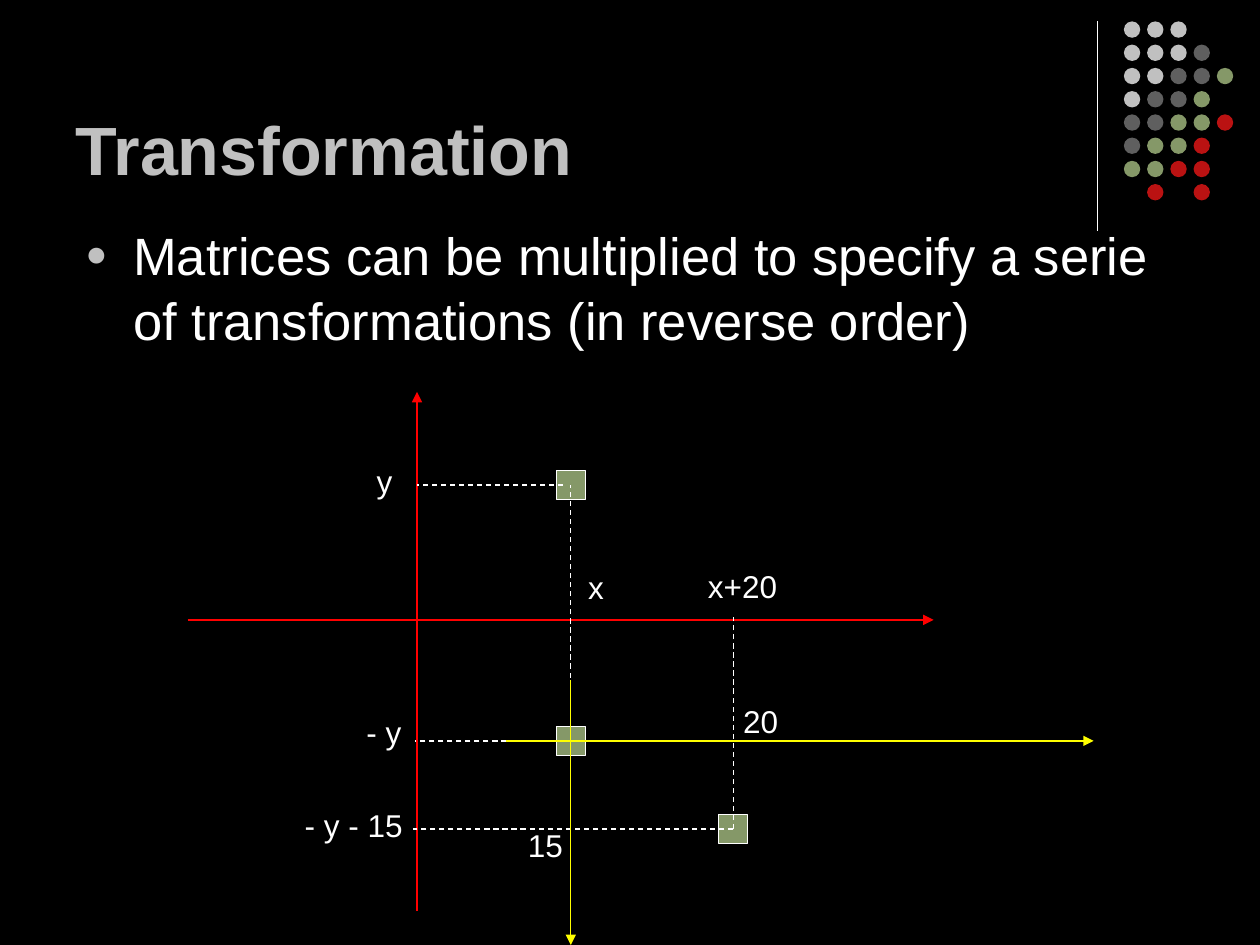
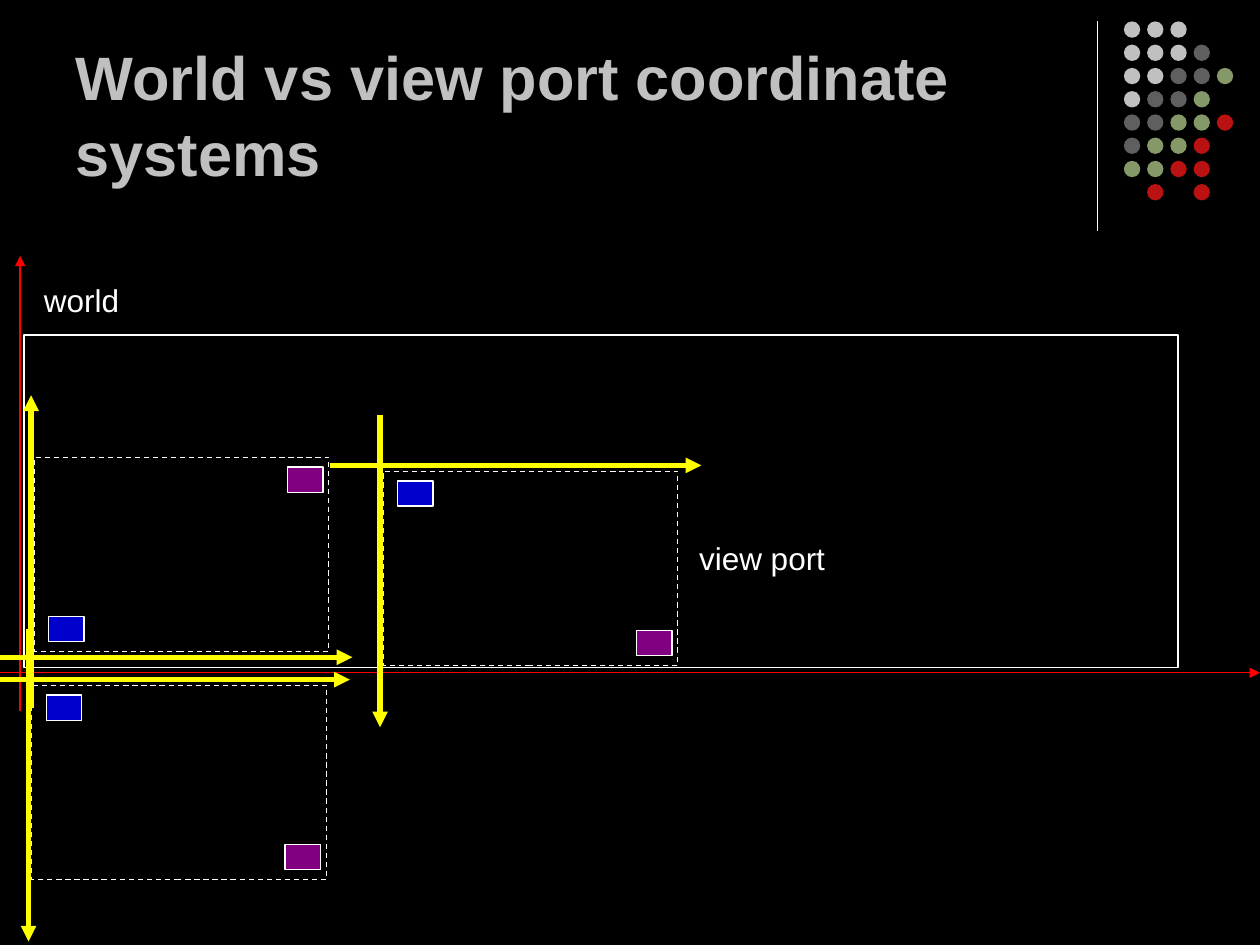
from dataclasses import dataclass

from lxml import etree
from pptx import Presentation
from pptx.dml.color import RGBColor
from pptx.enum.dml import MSO_LINE
from pptx.enum.shapes import MSO_CONNECTOR, MSO_SHAPE
from pptx.enum.text import MSO_ANCHOR, MSO_AUTO_SIZE, PP_ALIGN
from pptx.oxml.ns import qn
from pptx.util import Inches, Pt

RECTANGLE, OVAL = MSO_SHAPE.RECTANGLE, MSO_SHAPE.OVAL
STRAIGHT, DASH = MSO_CONNECTOR.STRAIGHT, MSO_LINE.DASH
LEFT, TOP, BOTTOM = PP_ALIGN.LEFT, MSO_ANCHOR.TOP, MSO_ANCHOR.BOTTOM
NO_AUTOFIT = MSO_AUTO_SIZE.NONE
TITLE_ONLY = 5

SLIDE_W, SLIDE_H = 10, 7.5
FONT = "Arial"
COLORS = {
    "background": "000000",
    "text": "FFFFFF",
    "silver": "C0C0C0",
    "gray": "5F5F5F",
    "olive": "859868",
    "crimson": "BA1212",
    "world": "FF0000",
    "view": "FFFF00",
    "blue": "0000CC",
    "purple": "800080",
}
DOT_COLORS = {"S": "silver", "G": "gray", "O": "olive", "C": "crimson"}
DOT_ROWS = ["SSS", "SSSG", "SSGGO", "SGGO", "GGOOC", "GOOC", "OOCC", " C C"]


@dataclass
class Box:
    left: float
    top: float
    width: float
    height: float

    def x(self, share):
        return self.left + share * self.width

    def y(self, share):
        return self.top + share * self.height

    def inset(self, left, top, width, height):
        return Box(self.x(left), self.y(top),
                   width * self.width, height * self.height)

    def inches(self):
        return [Inches(v) for v in
                (self.left, self.top, self.width, self.height)]


SLIDE = Box(0, 0, SLIDE_W, SLIDE_H)
TITLE = Box(0.5, 0.13, 8.25, 1.42)


def color(name):
    return RGBColor.from_string(COLORS[name])


def set_line(line, name, width=0.75, dash=None):
    line.color.rgb = color(name)
    line.width = Pt(width)
    if dash:
        line.dash_style = dash


def add_figure(shapes, box, fill=None, outline=None, dash=None,
               kind=RECTANGLE):
    figure = shapes.add_shape(kind, *box.inches())
    figure.shadow.inherit = False
    if fill:
        figure.fill.solid()
        figure.fill.fore_color.rgb = color(fill)
    else:
        figure.fill.background()
    if outline:
        set_line(figure.line, outline, dash=dash)
    else:
        figure.line.fill.background()


def add_line(shapes, start, end, name, width=0.75, dash=None, arrow=False):
    ends = [Inches(v) for v in (*start, *end)]
    connector = shapes.add_connector(STRAIGHT, *ends)
    set_line(connector.line, name, width, dash)
    if arrow:
        etree.SubElement(connector.get_or_add_ln(), qn("a:tailEnd"),
                         type="triangle")
    etree.SubElement(connector.element.spPr, qn("a:effectLst"))


def write(frame, words, size, name="text", bold=False, anchor=TOP,
          before=0, spacing=1.0):
    settings = {
        "word_wrap": True, "auto_size": NO_AUTOFIT, "vertical_anchor": anchor,
        "margin_left": Inches(0.1), "margin_right": Inches(0.1),
        "margin_top": Inches(0.05), "margin_bottom": Inches(0.05),
    }
    for key, value in settings.items():
        setattr(frame, key, value)
    paragraph = frame.paragraphs[0]
    layout = {"alignment": LEFT, "space_before": Pt(before),
              "line_spacing": spacing}
    for key, value in layout.items():
        setattr(paragraph, key, value)
    run = paragraph.add_run()
    run.text = words
    for key, value in {"name": FONT, "size": Pt(size), "bold": bold}.items():
        setattr(run.font, key, value)
    run.font.color.rgb = color(name)
    return paragraph


def add_label(slide, words, left, top, width):
    label = slide.shapes.add_textbox(*Box(left, top, width, 0.4).inches())
    write(label.text_frame, words, 18, before=11.2)


def add_ornament(slide, box):
    """Vertical rule with a grid of dots to its right."""
    add_line(slide.shapes, (box.left, box.top),
             (box.left, box.y(1)), "text")
    dots = slide.shapes.add_group_shape().shapes
    pitch, size = box.height / 9, 0.13
    for row, keys in enumerate(DOT_ROWS):
        for column, key in enumerate(keys):
            if key in DOT_COLORS:
                dot = Box(box.left + 0.21 + column * pitch,
                          box.top + row * pitch, size, size)
                add_figure(dots, dot, DOT_COLORS[key], kind=OVAL)


def start_slide(prs, words, size):
    slide = prs.slides.add_slide(prs.slide_layouts[TITLE_ONLY])
    add_ornament(slide, Box(8.71, 0.17, 1.07, 1.66))
    title = slide.shapes.title
    title.left, title.top, title.width, title.height = TITLE.inches()
    write(title.text_frame, words, size, "silver", bold=True,
          anchor=BOTTOM, spacing=1.04)
    return slide


def add_bullet(slide, box, words):
    body = slide.shapes.add_textbox(*box.inches())
    paragraph = write(body.text_frame, words, 30, before=7.5, spacing=1.04)
    props = paragraph._p.get_or_add_pPr()
    props.set("marL", str(Inches(0.38)))
    props.set("indent", str(-Inches(0.38)))
    bullet_color = etree.SubElement(props, qn("a:buClr"))
    etree.SubElement(bullet_color, qn("a:srgbClr"), val=COLORS["silver"])
    etree.SubElement(props, qn("a:buSzPct"), val="70000")
    etree.SubElement(props, qn("a:buFont"), typeface=FONT)
    etree.SubElement(props, qn("a:buChar"), char="●")


def add_transformation_plot(slide, box):
    """World axes, moved axes and a square at its three positions."""
    shapes = slide.shapes
    origin_x, origin_y = box.left + 1.82, box.top + 1.81
    x, shifted_x = origin_x + 1.22, origin_x + 2.51
    y, mirrored_y, shifted_y = (origin_y + d for d in (-1.07, 0.96, 1.66))

    # World axes
    add_line(shapes, (origin_x, box.y(1)), (origin_x, box.top),
             "world", arrow=True)
    add_line(shapes, (box.left, origin_y), (box.x(1), origin_y),
             "world", arrow=True)

    # Squares, centred on their coordinates
    side = 0.23
    for cx, cy in ((x, y), (x, mirrored_y), (shifted_x, shifted_y)):
        add_figure(shapes, Box(cx - side / 2, cy - side / 2, side, side),
                   "olive", "text")

    # Dashed guides
    guides = [
        ((x - 0.06, y), (origin_x, y)),
        ((x - 0.08, mirrored_y), (origin_x - 0.02, mirrored_y)),
        ((x, mirrored_y), (x, y)),
        ((shifted_x, shifted_y), (origin_x - 0.03, shifted_y)),
        ((shifted_x, shifted_y), (shifted_x, origin_y - 0.02)),
    ]
    for start, end in guides:
        add_line(shapes, start, end, "text", dash=DASH)

    # Moved axes
    add_line(shapes, (x, mirrored_y - 0.48), (x, SLIDE_H), "view", arrow=True)
    add_line(shapes, (x - 0.51, mirrored_y), (x + 4.15, mirrored_y),
             "view", arrow=True)

    # Coordinate labels
    labels = [
        ("y", origin_x - 0.42, y - 0.23, 0.39),
        ("- y", origin_x - 0.5, mirrored_y - 0.27, 0.59),
        ("- y - 15", origin_x - 0.99, shifted_y - 0.23, 1.05),
        ("15", x - 0.44, shifted_y - 0.07, 0.48),
        ("x", x + 0.04, origin_y - 0.46, 0.36),
        ("x+20", shifted_x - 0.3, origin_y - 0.47, 0.81),
        ("20", shifted_x - 0.02, mirrored_y - 0.36, 0.48),
    ]
    for label in labels:
        add_label(slide, *label)


def add_view_port(slide, box, flipped=False):
    """Dashed frame with its axes and two corner markers."""
    shapes = slide.shapes.add_group_shape().shapes

    def down(share):
        return box.y(1 - share if flipped else share)

    add_line(shapes, (box.x(-0.18), down(-0.03)), (box.x(1.08), down(-0.03)),
             "view", 3, arrow=True)
    add_figure(shapes, box, outline="text", dash=DASH)
    add_line(shapes, (box.x(-0.01), down(-0.29)), (box.x(-0.01), down(1.32)),
             "view", 3, arrow=True)
    height = 0.13
    for fill, left, top in (("blue", 0.05, 0.05), ("purple", 0.86, 0.82)):
        marker_top = 1 - top - height if flipped else top
        add_figure(shapes, box.inset(left, marker_top, 0.12, height),
                   fill, "text")


def add_world(slide, box):
    """World frame, its axes and the name above it."""
    add_figure(slide.shapes, box, outline="text")
    axis_x, axis_y = box.left - 0.03, box.y(1) + 0.04
    add_line(slide.shapes, (axis_x, axis_y + 0.3), (axis_x, box.top - 0.63),
             "world", arrow=True)
    add_line(slide.shapes, (0, axis_y), (SLIDE_W, axis_y),
             "world", arrow=True)
    add_label(slide, "world", box.left + 0.06, box.top - 0.48, 1.74)


def build_transformation(prs):
    slide = start_slide(prs, "Transformation", 39)
    add_bullet(slide, Box(0.58, 1.7, 9, 1.73),
               "Matrices can be multiplied to specify a serie of "
               "transformations (in reverse order)")
    add_transformation_plot(slide, Box(1.49, 3.11, 5.92, 4.12))


def build_coordinate_systems(prs):
    slide = start_slide(prs, "World vs view port coordinate systems", 35)
    add_world(slide, Box(0.19, 2.66, 9.16, 2.64))
    add_label(slide, "view port", 5.45, 4.23, 1.74)
    for left, top, flipped in ((3.04, 3.74, False), (0.25, 5.44, False),
                               (0.27, 3.63, True)):
        add_view_port(slide, Box(left, top, 2.34, 1.54), flipped)


def main():
    prs = Presentation()
    prs.slide_width, prs.slide_height = SLIDE.inches()[2:]
    background = prs.slide_master.background.fill
    background.solid()
    background.fore_color.rgb = color("background")
    build_transformation(prs)
    build_coordinate_systems(prs)
    prs.save("out.pptx")


if __name__ == "__main__":
    main()
